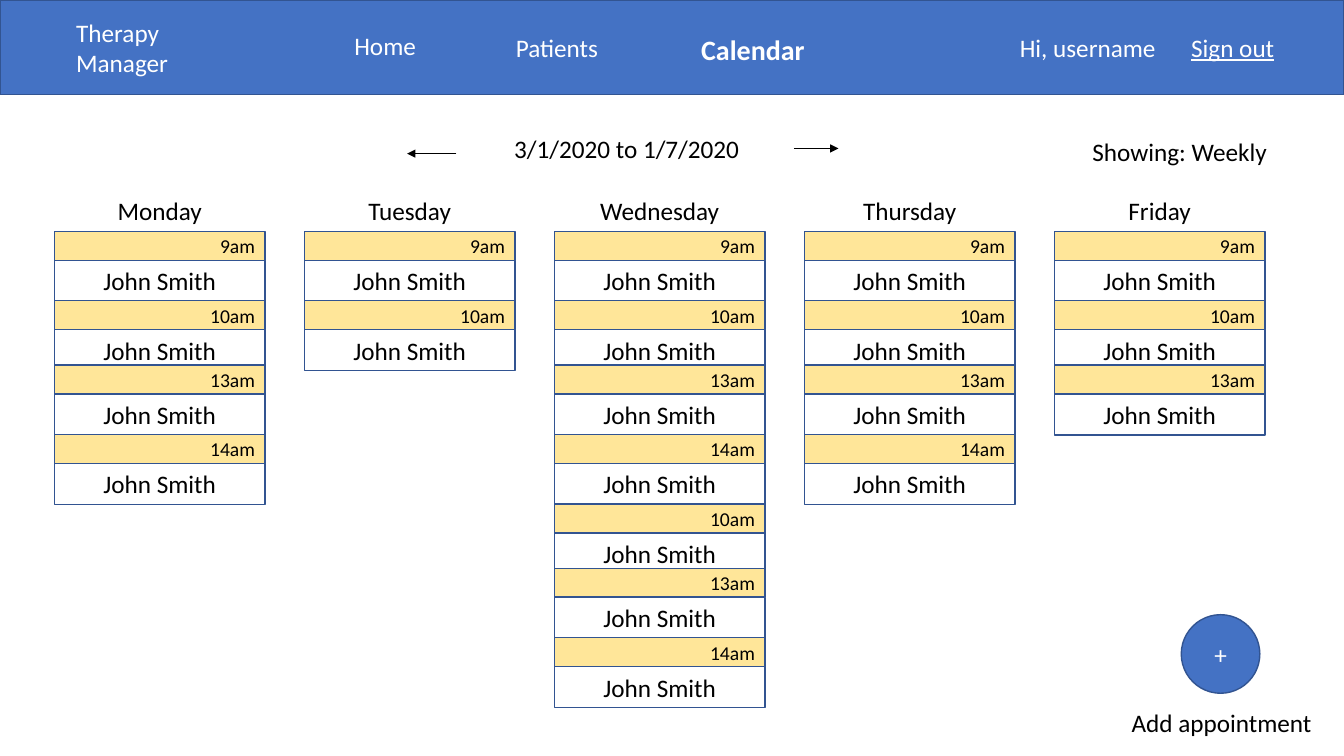
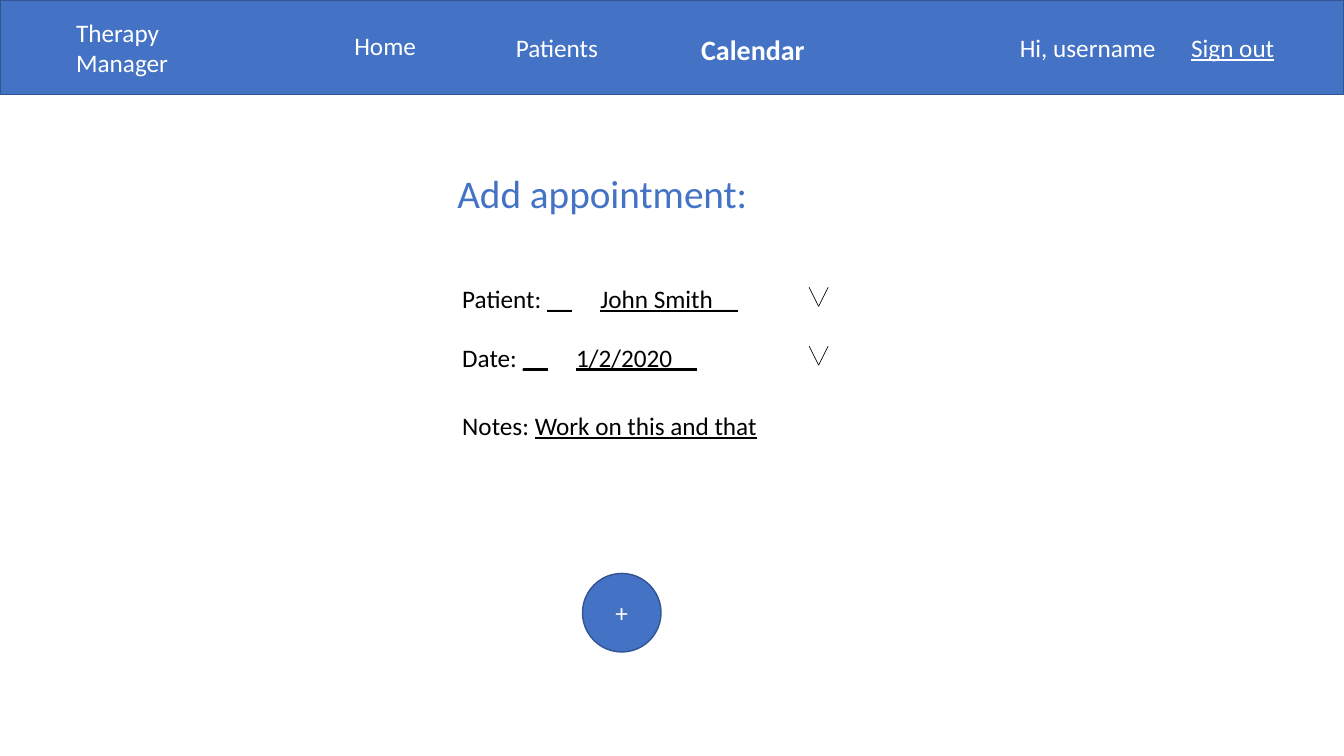
from itertools import accumulate

from lxml.etree import SubElement
from pptx import Presentation
from pptx.dml.color import RGBColor
from pptx.enum.shapes import MSO_CONNECTOR, MSO_SHAPE
from pptx.enum.text import MSO_ANCHOR, PP_ALIGN
from pptx.oxml.ns import qn
from pptx.util import Cm, Pt

BLUE = RGBColor(0x44, 0x72, 0xC4)
EDGE = RGBColor(0x32, 0x54, 0x91)
YELLOW = RGBColor(0xFF, 0xE6, 0x99)
WHITE = RGBColor(0xFF, 0xFF, 0xFF)
BLACK = RGBColor(0, 0, 0)
FONT = "Calibri"

WIDTH, HEIGHT = 33.87, 19.05
LINE_H = 1.03
TIME_H = 0.73
DAY_W, DAY_STEP = 5.31, 6.3
SLOT_TOPS = list(accumulate((0, 1.75, 1.62, 1.75, 1.75, 1.62, 1.75)))
BUTTON = 1.98

MORNING = ["9am", "10am"]
WEEK = {
    "Monday": MORNING + ["13am", "14am"],
    "Tuesday": MORNING,
    "Wednesday": MORNING + ["13am", "14am", "10am", "13am", "14am"],
    "Thursday": MORNING + ["13am", "14am"],
    "Friday": MORNING + ["13am"],
}


def style(p, size=18, color=BLACK, align=PP_ALIGN.LEFT, bold=False, underline=False):
    p.alignment = align
    f = p.font
    f.name, f.size, f.color.rgb = FONT, Pt(size), color
    f.bold, f.underline = bold, underline


def add_text(s, x, y, w, h, text, wrap=False, **look):
    sp = s.shapes.add_textbox(Cm(x), Cm(y), Cm(w), Cm(h))
    tf = sp.text_frame
    tf.word_wrap = wrap
    tf.text = text
    style(tf.paragraphs[0], **look)
    return tf.paragraphs[0]


def add_box(s, x, y, w, h, fill, text="", kind=MSO_SHAPE.RECTANGLE, **look):
    sp = s.shapes.add_shape(kind, Cm(x), Cm(y), Cm(w), Cm(h))
    sp.shadow.inherit = False
    sp.fill.solid()
    sp.fill.fore_color.rgb = fill
    sp.line.color.rgb = EDGE
    sp.line.width = Pt(1)
    if text:
        tf = sp.text_frame
        tf.vertical_anchor = MSO_ANCHOR.MIDDLE
        tf.text = text
        style(tf.paragraphs[0], **look)


def add_line(s, x1, y1, x2, y2, arrow=False):
    c = s.shapes.add_connector(MSO_CONNECTOR.STRAIGHT, Cm(x1), Cm(y1), Cm(x2), Cm(y2))
    c.line.color.rgb = BLACK
    c.line.width = Pt(0.5)
    if arrow:
        SubElement(c.line._get_or_add_ln(), qn("a:tailEnd"), type="triangle")
    SubElement(c._element.spPr, qn("a:effectLst"))


def set_title(s, x, y, w, h, text, **look):
    sp = s.shapes.title
    sp.left, sp.top, sp.width, sp.height = Cm(x), Cm(y), Cm(w), Cm(h)
    tf = sp.text_frame
    tf.text = text
    tf.vertical_anchor = MSO_ANCHOR.TOP
    style(tf.paragraphs[0], align=PP_ALIGN.CENTER, **look)


def add_header(s, x, y, w, h):
    add_box(s, x, y, w, h, BLUE)
    add_text(s, x + 1.67, y + 0.3, 4.65, 1.8, "Therapy Manager", True, color=WHITE)
    add_text(s, x + 8.68, y + 0.64, 2.11, LINE_H, "Home", color=WHITE)
    add_text(s, x + 12.75, y + 0.69, 2.67, LINE_H, "Patients", color=WHITE)
    add_text(s, x + 17.42, y + 0.69, 3.15, 1.11, "Calendar", size=20, color=WHITE, bold=True)
    add_text(s, x + 25.45, y + 0.69, 4.62, LINE_H, "Hi, username", True, color=WHITE)
    add_text(s, x + 29.77, y + 0.69, 3.61, LINE_H, "Sign out", True, color=WHITE, underline=True)


def add_day(s, x, y, w, day, hours):
    add_text(s, x, y, w, LINE_H, day, True, align=PP_ALIGN.CENTER)
    for top, hour in zip(SLOT_TOPS, hours):
        slot_y = y + LINE_H + top
        add_box(s, x, slot_y, w, TIME_H, YELLOW, hour, size=14, align=PP_ALIGN.RIGHT)
        add_box(s, x, slot_y + TIME_H, w, LINE_H, WHITE, "John Smith", align=PP_ALIGN.CENTER)


def add_week(s, x, y):
    for i, (day, hours) in enumerate(WEEK.items()):
        add_day(s, x + i * DAY_STEP, y, DAY_W, day, hours)


def add_period(s, x, y):
    set_title(s, x + 2.16, y, 6.75, LINE_H, "3/1/2020 to 1/7/2020", size=18, color=BLACK)
    add_line(s, x + 1.24, y + 0.64, x, y + 0.64, arrow=True)
    add_line(s, x + 9.75, y + 0.51, x + 10.87, y + 0.51, arrow=True)


def add_plus(s, x, y):
    add_box(s, x, y, BUTTON, BUTTON, BLUE, "+", MSO_SHAPE.OVAL,
            color=WHITE, align=PP_ALIGN.CENTER)


def add_chevron(s, x, y, w, h):
    for edge in (x, x + w):
        add_line(s, edge, y, x + w / 2, y + h)


def add_field(s, x, y, label, value, tab=None):
    p = add_text(s, x, y, 8.2, LINE_H, label, True)
    r = p.add_run()
    r.text = value
    r.font.underline = True
    if tab:
        tabs = SubElement(p._p.get_or_add_pPr(), qn("a:tabLst"))
        p._p.pPr.insert(0, tabs)
        SubElement(tabs, qn("a:tab"), pos=str(Cm(tab)), algn="l")
        add_chevron(s, x + 8.99, y + 0.23, 0.48, 0.48)


def add_form(s, x, y):
    add_field(s, x, y, "Patient: ", "__\tJohn Smith__", 3.48)
    add_field(s, x, y + 1.48, "Date: ", "__\t1/2/2020__", 2.87)
    add_field(s, x, y + 3.2, "Notes: ", "Work on this and that")


def new_slide(prs):
    s = prs.slides.add_slide(prs.slide_layouts[5])
    add_header(s, 0, 0, WIDTH, 2.39)
    return s


def calendar_slide(prs):
    s = new_slide(prs)
    add_period(s, 10.26, 3.23)
    add_text(s, 27.28, 3.3, 4.95, LINE_H, "Showing: Weekly")
    add_week(s, 1.37, 4.8)
    add_plus(s, 29.77, 15.49)
    add_text(s, 28.27, 17.7, 5.11, LINE_H, "Add appointment")


def appointment_slide(prs):
    s = new_slide(prs)
    set_title(s, 5.54, 4.14, 19.28, 1.45, "Add appointment:", size=28, color=BLUE)
    add_form(s, 11.4, 7.01)
    add_plus(s, 14.68, 14.45)


def main():
    prs = Presentation()
    prs.slide_width, prs.slide_height = Cm(WIDTH), Cm(HEIGHT)
    calendar_slide(prs)
    appointment_slide(prs)
    prs.save("out.pptx")


if __name__ == "__main__":
    main()
